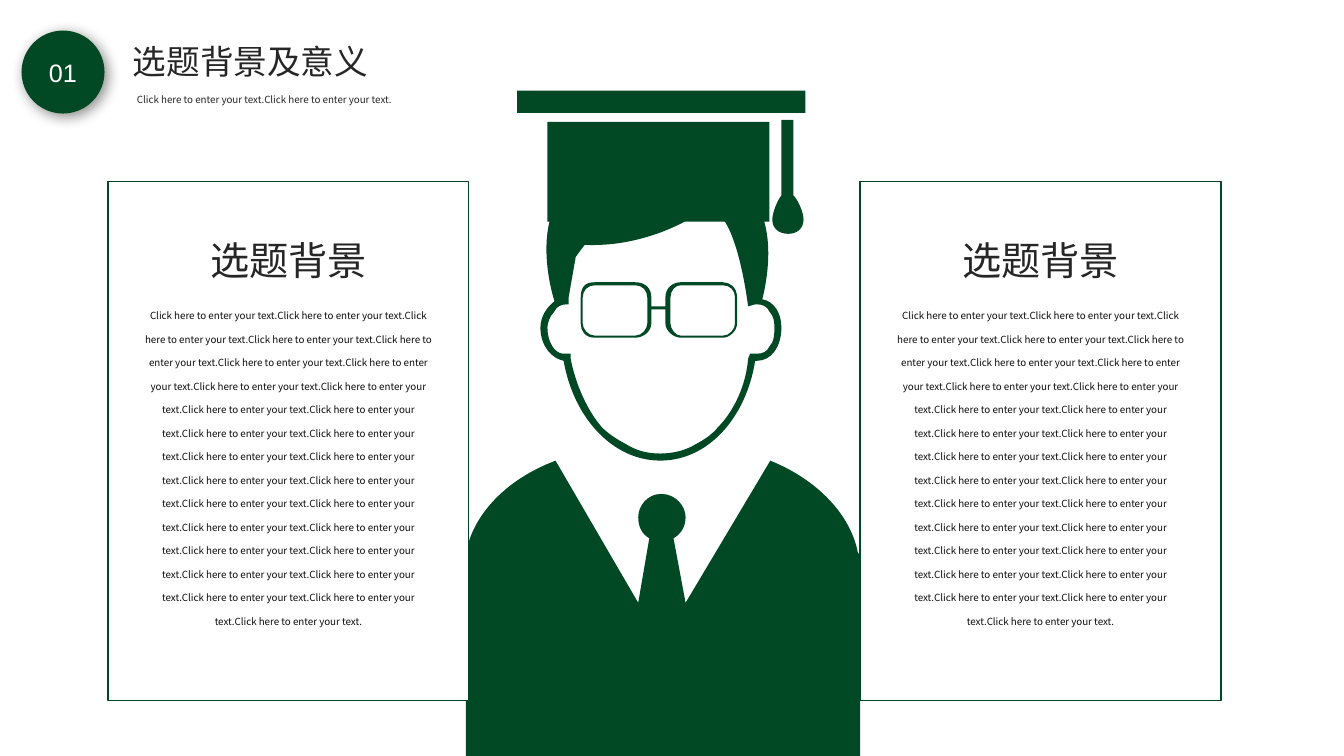
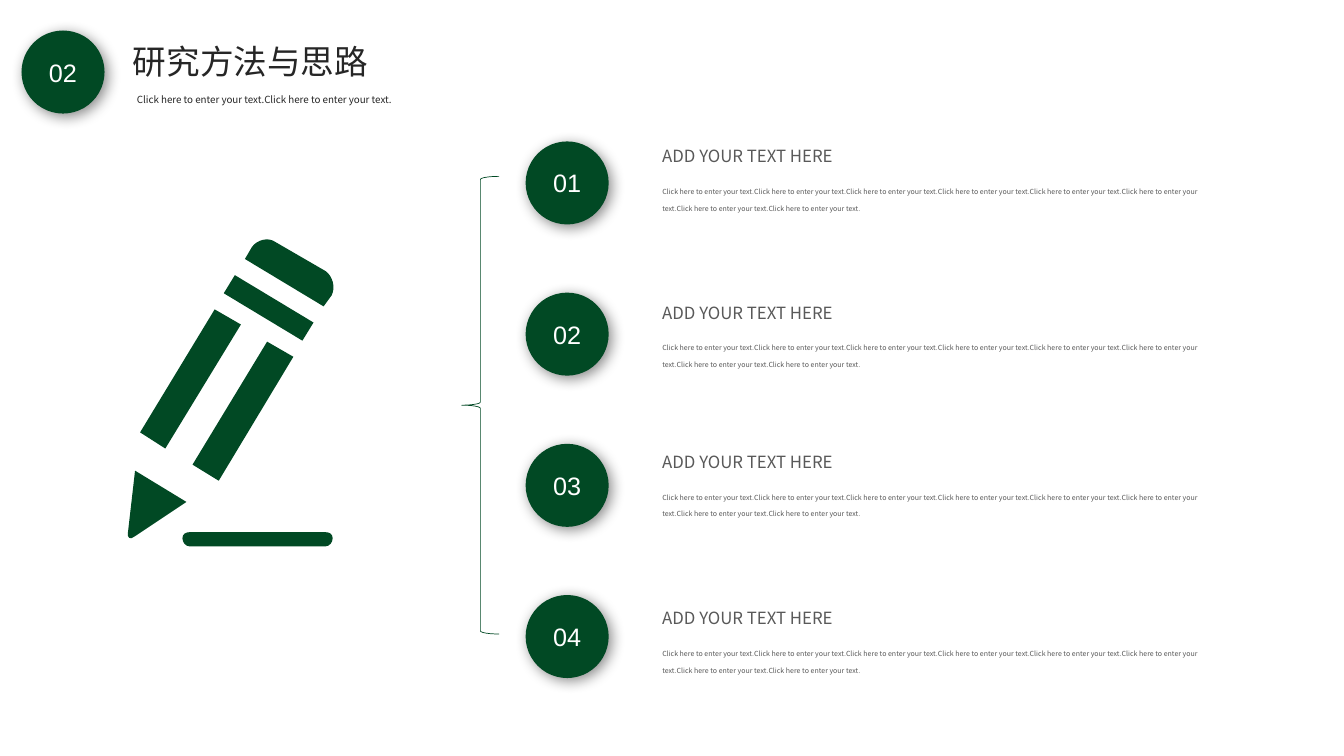
from lxml import etree
from pptx import Presentation
from pptx.dml.color import RGBColor
from pptx.enum.shapes import MSO_SHAPE
from pptx.enum.text import MSO_ANCHOR, MSO_AUTO_SIZE, PP_ALIGN
from pptx.oxml.ns import qn
from pptx.util import Pt

PX = 9144
SLIDE_SIZE = (1333, 750)

GREEN = RGBColor(0x01, 0x49, 0x24)
WHITE = RGBColor(0xFF, 0xFF, 0xFF)
INK = RGBColor(0x26, 0x26, 0x26)
BLACK = RGBColor(0x0D, 0x0D, 0x0D)
GRAY = RGBColor(0x59, 0x59, 0x59)
CJK_FONT = "Noto Sans CJK SC"
NUMBER_FONT = "Arial"

LEFT, CENTER = PP_ALIGN.LEFT, PP_ALIGN.CENTER
MIDDLE = MSO_ANCHOR.MIDDLE
GROW = MSO_AUTO_SIZE.SHAPE_TO_FIT_TEXT
RECTANGLE, ELLIPSE, LEFT_BRACE = MSO_SHAPE.RECTANGLE, MSO_SHAPE.OVAL, MSO_SHAPE.LEFT_BRACE

SENTENCE = "Click here to enter your text."
TITLES = [("01", "选题背景及意义"), ("02", "研究方法与思路")]
PANELS = [(107, "选题背景", SENTENCE * 28), (853, "选题背景", SENTENCE * 28)]
STEPS = [
    ("01", 130, "ADD YOUR TEXT HERE", SENTENCE * 8),
    ("02", 285, "ADD YOUR TEXT HERE", SENTENCE * 8),
    ("03", 433, "ADD YOUR TEXT HERE", SENTENCE * 8),
    ("04", 588, "ADD YOUR TEXT HERE", SENTENCE * 8),
]
BADGE_SIZE = 81
BADGE_TOP, BADGE_PITCH = 141, 150

GOWN = [[
    (851, 549), (844, 511, 811, 476, 764, 457), (680, 598), (668, 534),
    (675, 530, 680, 523, 680, 513), (680, 502, 670, 490, 656, 490),
    (642, 490, 633, 502, 633, 513), (633, 523, 637, 530, 644, 534),
    (633, 598), (551, 457), (501, 476, 469, 511, 462, 549),
    (462, 755), (853, 755), (853, 549),
]]
HEAD = [
    [
        (536, 325), (536, 344, 548, 356, 559, 358), (569, 415, 608, 457, 655, 457),
        (702, 457, 740, 415, 749, 358), (751, 358), (765, 358, 775, 344, 775, 325),
        (775, 311, 768, 299, 756, 297), (756, 297, 768, 255, 758, 220),
        (763, 220), (763, 121), (543, 121), (543, 220), (545, 220),
        (536, 257, 550, 299, 550, 299), (543, 304, 536, 314, 536, 325),
    ],
    [
        (562, 302), (564, 302), (564, 295), (571, 255), (576, 248, 580, 243, 580, 243),
        (625, 245, 662, 229, 679, 220), (719, 220), (735, 245, 742, 304, 742, 304),
        (749, 302), (751, 302), (756, 302, 761, 304, 763, 309),
        (768, 314, 768, 321, 768, 325), (768, 332, 768, 339, 763, 344),
        (761, 349, 756, 351, 751, 351), (744, 351), (742, 356),
        (740, 382, 728, 408, 712, 424), (705, 433, 695, 438, 686, 443),
        (676, 448, 665, 450, 655, 450), (644, 450, 634, 448, 625, 443),
        (616, 438, 606, 433, 597, 424), (583, 408, 571, 382, 566, 356),
        (566, 351), (559, 351), (550, 351, 543, 339, 543, 325),
        (543, 321, 545, 314, 550, 309), (552, 304, 557, 302, 562, 302),
    ],
]
GLASSES = [
    [
        (590, 335), (630, 335), (639, 335, 646, 328, 646, 321), (646, 307), (660, 307),
        (660, 321), (660, 328, 668, 335, 675, 335), (717, 335),
        (724, 335, 731, 328, 731, 321), (731, 295), (731, 285, 724, 280, 717, 280),
        (675, 280), (668, 280, 660, 285, 660, 295), (660, 304), (646, 304), (646, 295),
        (646, 285, 639, 280, 630, 280), (590, 280), (580, 280, 576, 285, 576, 295),
        (576, 321), (576, 328, 580, 335, 590, 335),
    ],
    [
        (665, 295), (665, 288, 670, 283, 675, 283), (717, 283),
        (724, 283, 729, 288, 729, 295), (729, 321), (729, 326, 724, 333, 717, 333),
        (675, 333), (670, 333, 665, 326, 665, 321),
    ],
    [
        (578, 295), (578, 288, 583, 283, 590, 283), (630, 283),
        (637, 283, 642, 288, 642, 295), (642, 321), (642, 326, 637, 333, 630, 333),
        (590, 333), (583, 333, 578, 326, 578, 321),
    ],
]
TASSEL = [[
    (797, 218), (797, 211, 792, 199, 787, 194), (787, 119), (775, 119), (775, 194),
    (771, 199, 766, 211, 766, 218), (766, 227, 773, 232, 782, 232),
    (790, 232, 797, 227, 797, 218),
]]
PENCIL = [
    [
        (250, 245), (255, 238, 266, 235, 273, 240), (323, 269),
        (330, 274, 333, 285, 329, 293), (321, 304), (243, 257),
    ],
    [(233, 273), (222, 291), (300, 338), (311, 320)],
    [(127, 528), (134, 467), (185, 498), (134, 532), (129, 536, 126, 534, 127, 528)],
    [(139, 429), (213, 307), (239, 322), (164, 445)],
    [(191, 461), (265, 339), (291, 354), (217, 477)],
    [
        (188, 528), (323, 528), (327, 528, 330, 530, 330, 534),
        (330, 538, 327, 542, 323, 542), (188, 542),
        (184, 542, 181, 538, 181, 534), (181, 530, 184, 528, 188, 528),
    ],
]


def to_emu(lengths):
    return [round(length * PX) for length in lengths]


def write_text(shape, text, size=7, color=INK, font=CJK_FONT, align=LEFT, spacing=1, wrap=True):
    shape.text_frame.word_wrap = wrap
    paragraph = shape.text_frame.paragraphs[0]
    paragraph.alignment = align
    paragraph.line_spacing = spacing
    run = paragraph.add_run()
    run.text = text
    run.font.size = Pt(size)
    run.font.color.rgb = color
    run.font.name = font
    properties = run._r.get_or_add_rPr()
    etree.SubElement(properties, qn("a:ea")).set("typeface", font)


def add_text(slide, box, text, **style):
    textbox = slide.shapes.add_textbox(*to_emu(box))
    textbox.text_frame.auto_size = GROW
    write_text(textbox, text, **style)


def paint(shape, fill=None, line=None, width=1):
    shape.shadow.inherit = False
    if fill is None:
        shape.fill.background()
    else:
        shape.fill.solid()
        shape.fill.fore_color.rgb = fill
    if line is None:
        shape.line.fill.background()
    else:
        shape.line.color.rgb = line
        shape.line.width = Pt(width)
    return shape


def add_shape(slide, kind, box, **style):
    return paint(slide.shapes.add_shape(kind, *to_emu(box)), **style)


def segment_points(segment):
    return [to_emu(segment[index:index + 2]) for index in range(0, len(segment), 2)]


def bend_segments(shape, segments):
    lines = iter(list(shape._element.iter(qn("a:lnTo"))))
    for segment in segments:
        line = next(lines)
        if len(segment) == 6:
            curve = etree.Element(qn("a:cubicBezTo"))
            line.addprevious(curve)
            for part in (line, next(lines), next(lines)):
                curve.append(part[0])
                part.getparent().remove(part)


def add_outline(slide, contours):
    builder = slide.shapes.build_freeform(*to_emu(contours[0][0]))
    for index, (start, *segments) in enumerate(contours):
        if index:
            builder.move_to(*to_emu(start))
        points = [point for segment in segments for point in segment_points(segment)]
        builder.add_line_segments(points, close=True)
    shape = paint(builder.convert_to_shape(), fill=GREEN)
    bend_segments(shape, [segment for contour in contours for segment in contour[1:]])


def add_badge(slide, left, top, number):
    box = (left, top, BADGE_SIZE, BADGE_SIZE)
    badge = add_shape(slide, ELLIPSE, box, fill=GREEN, line=GREEN)
    effects = badge._element.spPr.find(qn("a:effectLst"))
    shadow = etree.SubElement(effects, qn("a:outerShdw"), blurRad=str(Pt(10)),
                              dist=str(Pt(3)), dir="2700000", algn="tl", rotWithShape="0")
    shade = etree.SubElement(shadow, qn("a:srgbClr"), val="000000")
    etree.SubElement(shade, qn("a:alpha"), val="45000")
    badge.text_frame.vertical_anchor = MIDDLE
    write_text(badge, number, size=18, color=WHITE, font=NUMBER_FONT, align=CENTER)


def add_header(slide, number, title):
    add_badge(slide, 22, 31, number)
    add_text(slide, (122, 36, 306, 50), title, size=24)
    add_text(slide, (126, 76, 304, 34), SENTENCE * 2, spacing=2)


def build_background_slide(slide):
    for contours in (GOWN, HEAD, GLASSES):
        add_outline(slide, contours)
    add_shape(slide, RECTANGLE, (513, 90, 286, 22), fill=GREEN)
    add_outline(slide, TASSEL)
    add_header(slide, *TITLES[0])
    for left, heading, body in PANELS:
        add_shape(slide, RECTANGLE, (left, 180, 358, 515), fill=WHITE, line=GREEN)
        add_text(slide, (left + 26, 230, 306, 57), heading, size=28, align=CENTER)
        add_text(slide, (left + 25, 291, 308, 340), body, color=BLACK,
                 align=CENTER, spacing=2)


def build_method_slide(slide):
    add_header(slide, *TITLES[1])
    add_outline(slide, PENCIL)
    add_shape(slide, LEFT_BRACE, (458, 175, 37, 454), line=GREEN, width=0.5)
    for index, (number, top, heading, body) in enumerate(STEPS):
        add_badge(slide, 522, BADGE_TOP + index * BADGE_PITCH, number)
        add_text(slide, (647, top, 200, 40), heading, size=12, color=GRAY,
                 spacing=1.5, wrap=False)
        add_text(slide, (647, top + 43, 559, 44), body, size=5, color=GRAY, spacing=2)


def main():
    presentation = Presentation()
    presentation.slide_width, presentation.slide_height = to_emu(SLIDE_SIZE)
    blank = presentation.slide_layouts[6]
    for build in (build_background_slide, build_method_slide):
        build(presentation.slides.add_slide(blank))
    presentation.save("out.pptx")


if __name__ == "__main__":
    main()
